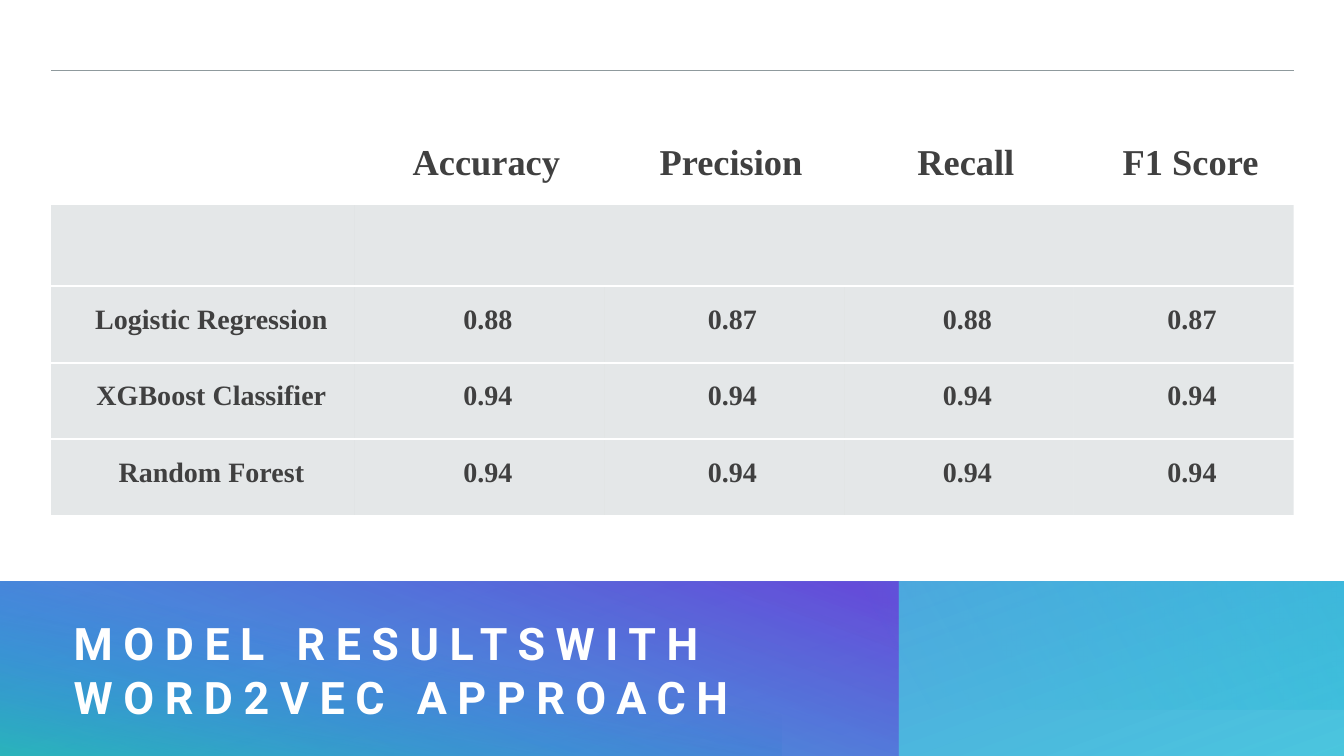
"""Build the slide of model results with its gradient title band."""
from lxml import etree
from pptx import Presentation
from pptx import util as u
from pptx.dml.color import RGBColor
from pptx.enum import shapes, text
from pptx.oxml import ns

TITLE = "MODEL RESULTSWITH WORD2VEC APPROACH"
HEADS = ["", "Accuracy", "Precision", "Recall", "F1 Score"]
SCORES = [
    ("Logistic Regression", "0.88", "0.87", "0.88", "0.87"),
    ("XGBoost Classifier", "0.94", "0.94", "0.94", "0.94"),
    ("Random Forest", "0.94", "0.94", "0.94", "0.94"),
]
ROWS = [HEADS, [""] * 5, *SCORES]
WIDTHS = [217, 178, 171.5, 164, 157]
HEIGHTS = [95.7, 58.3, 54.7, 54.7, 54.7]
TABLE = (36.5, 50.4)
TOP, DEPTH = 415.4, 126.7
# box, turn, flip, angle, stops of (position, colour, opacity)
BANDS = [
    ((0, TOP, 960, DEPTH), 0, False, 250, [(0, "26BBD8", 83), (100, "1767D5", 74)]),
    ((0, TOP, 642, DEPTH), 90, True, 160, [(5, "6F25D7", 68), (100, "26BBD8", 43)]),
    ((0, TOP, 558, DEPTH), 270, False, 190, [(42, "1767D5", 0), (99, "15C397", 48)]),
    ((388, TOP, 573, 91), 180, False, 330, [(0, "26BBD8", 37), (56, "26BBD8", 0)]),
]


def hue(color, code):
    color.rgb = RGBColor.from_string(code)


def fade(node, part):
    etree.SubElement(node, ns.qn("a:alpha"), val=str(part * 1000))


def style(para, face, size, code):
    font = para.font
    font.name, font.size, font.bold = face, u.Pt(size), True
    hue(font.color, code)


def band(slide, box, turn, flip, angle, stops):
    x, y, w, h = box
    if turn in (90, 270):
        x, y, w, h = x + (w - h) / 2, y + (h - w) / 2, h, w
    rect = slide.shapes.add_shape(shapes.MSO_SHAPE.RECTANGLE, *map(u.Pt, (x, y, w, h)))
    rect.rotation = turn
    rect.shadow.inherit = False
    rect.line.fill.background()
    rect.fill.gradient()
    rect.fill.gradient_angle = 360 - angle
    for stop, (place, code, _) in zip(rect.fill.gradient_stops, stops):
        stop.position = place / 100
        hue(stop.color, code)
    props = rect._element.spPr
    for node, (_, _, part) in zip(list(props.iter(ns.qn("a:srgbClr"))), stops):
        fade(node, part)
    if flip:
        props.xfrm.set("flipH", "1")


def edges(props, top):
    lines = [("lnL", None), ("lnR", None), ("lnT", top), ("lnB", "FFFFFF")]
    for spot, (name, code) in enumerate(lines):
        line = etree.Element(ns.qn("a:" + name), w=str(u.Pt(1.5)))
        fill = etree.SubElement(line, ns.qn("a:solidFill" if code else "a:noFill"))
        if code:
            etree.SubElement(fill, ns.qn("a:srgbClr"), val=code)
        props.insert(spot, line)


def dress(cell, row, words):
    head = row == 0
    if head:
        cell.fill.background()
    else:
        cell.fill.solid()
        hue(cell.fill.fore_color, "B4BCBE")
    props = cell._tc.get_or_add_tcPr()
    for node in list(props.iter(ns.qn("a:srgbClr"))):
        fade(node, 35)
    edges(props, "8F9A9D" if head else "FFFFFF")
    pad = u.Pt(15 if head else 13)
    cell.margin_left = u.Pt(25)
    cell.margin_top = cell.margin_right = cell.margin_bottom = pad
    cell.vertical_anchor = text.MSO_ANCHOR.BOTTOM if head else text.MSO_ANCHOR.TOP
    para = cell.text_frame.paragraphs[0]
    para.text = words
    para.alignment = text.PP_ALIGN.CENTER
    style(para, "Times New Roman", 26 if head else 20, "404040")


def grid(slide):
    size = (sum(WIDTHS), sum(HEIGHTS))
    table = slide.shapes.add_table(len(ROWS), len(HEADS), *map(u.Pt, TABLE + size)).table
    table.first_row = table.horz_banding = False
    for col, width in zip(table.columns, WIDTHS):
        col.width = u.Pt(width)
    for row, height in zip(table.rows, HEIGHTS):
        row.height = u.Pt(height)
    for r, row in enumerate(ROWS):
        for c, words in enumerate(row):
            dress(table.cell(r, c), r, words)
    table.cell(1, 1).merge(table.cell(1, 4))


def title(slide):
    frame = slide.shapes.add_textbox(*map(u.Pt, (52.6, 437, 567, 83))).text_frame
    frame.word_wrap = True
    frame.margin_left = frame.margin_top = frame.margin_right = frame.margin_bottom = 0
    frame.vertical_anchor = text.MSO_ANCHOR.MIDDLE
    para = frame.paragraphs[0]
    run = para.add_run()
    run.text = TITLE
    style(para, "Roboto", 32, "FFFFFF")
    run._r.get_or_add_rPr().set("spc", "750")


def main():
    deck = Presentation()
    deck.slide_width, deck.slide_height = u.Pt(960), u.Pt(540)
    slide = deck.slides.add_slide(deck.slide_layouts[6])
    for item in BANDS:
        band(slide, *item)
    title(slide)
    grid(slide)
    deck.save("out.pptx")


if __name__ == "__main__":
    main()
